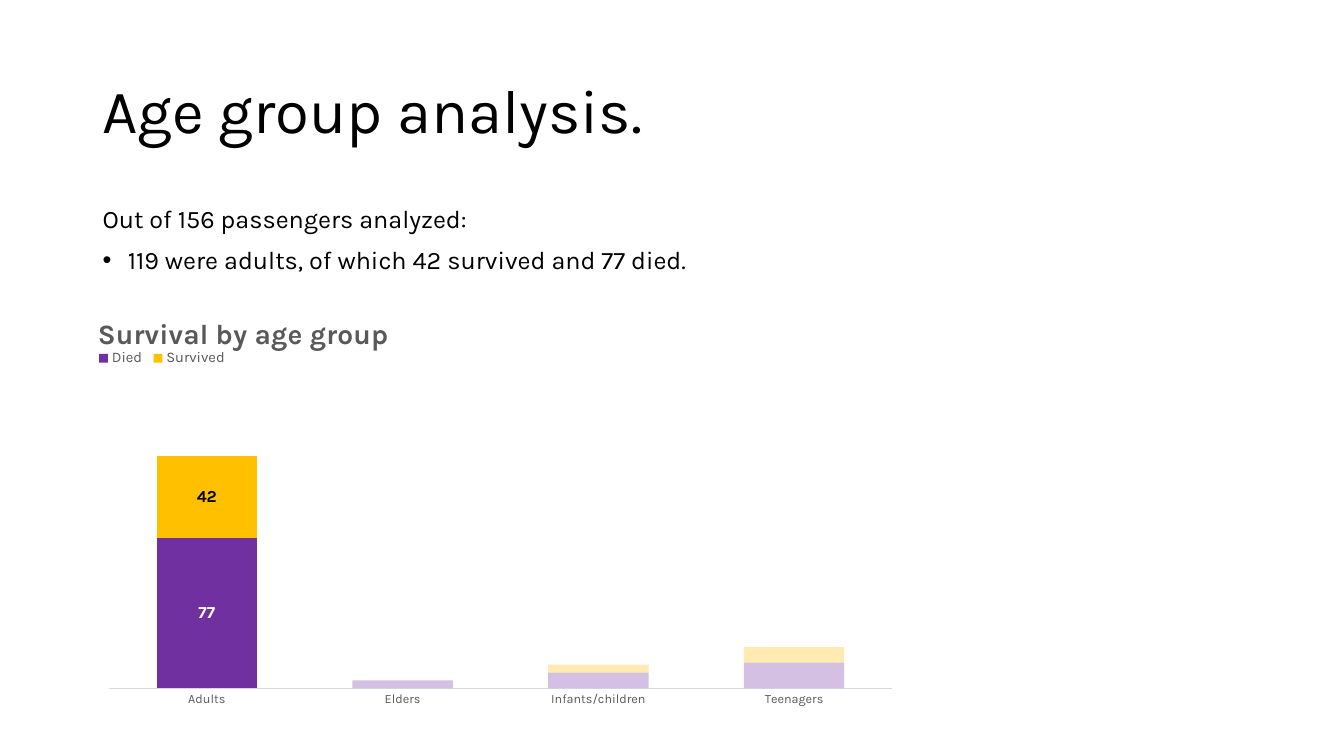
from dataclasses import dataclass

from lxml import etree
from pptx import Presentation
from pptx import util as u
from pptx.chart.data import CategoryChartData
from pptx.dml.color import RGBColor
from pptx.enum import chart as charts
from pptx.enum import text
from pptx.oxml import ns


@dataclass(frozen=True)
class Theme:
    font: str = "Karla"
    bullet_font: str = "Arial"
    ink: str = "000000"
    paper: str = "FFFFFF"
    muted: str = "595959"
    rule: str = "D9D9D9"
    died: str = "7030A0"
    survived: str = "FFC000"
    faded: int = 30
    title: float = 44
    body: float = 18
    chart_title: float = 20
    legend: float = 10.5
    value: float = 12
    category: float = 9
    default: float = 10


class SlideBuilder:
    COLUMNS, ROWS = 145, 300

    def __init__(self, deck, theme):
        self.theme = theme
        self.column = deck.slide_width / self.COLUMNS
        self.row = deck.slide_height / self.ROWS
        self.slide = deck.slides.add_slide(deck.slide_layouts[6])

    def box(self, left, top, width, height):
        return (round(left * self.column), round(top * self.row),
                round(width * self.column), round(height * self.row))

    def style(self, font, size, color, bold=False):
        font.name = self.theme.font
        font.size = u.Pt(size)
        font.bold = bold
        font.color.rgb = RGBColor.from_string(color)

    def text(self, area, lines, size, anchor=text.MSO_ANCHOR.TOP, before=0):
        frame = self.slide.shapes.add_textbox(*self.box(*area)).text_frame
        frame.word_wrap = True
        frame.vertical_anchor = anchor
        for index, (wording, bulleted) in enumerate(lines):
            paragraph = frame.paragraphs[0] if index == 0 else frame.add_paragraph()
            paragraph.text = wording
            paragraph.line_spacing = 0.9
            paragraph.space_before = u.Pt(before)
            self.style(paragraph.font, size, self.theme.ink)
            if bulleted:
                self.bullet(paragraph)

    def bullet(self, paragraph):
        properties = paragraph._p.get_or_add_pPr()
        indent = u.Inches(0.25)
        properties.set("marL", str(indent))
        properties.set("indent", str(-indent))
        defaults = properties.find(ns.qn("a:defRPr"))
        defaults.addprevious(etree.Element(ns.qn("a:buFont"), typeface=self.theme.bullet_font))
        defaults.addprevious(etree.Element(ns.qn("a:buChar"), char="•"))

    def place(self, part, index, **shares):
        for previous in part.findall(ns.qn("c:layout")):
            part.remove(previous)
        layout = etree.Element(ns.qn("c:layout"))
        manual = etree.SubElement(layout, ns.qn("c:manualLayout"))
        if part.tag == ns.qn("c:plotArea"):
            etree.SubElement(manual, ns.qn("c:layoutTarget"), val="inner")
        for mode in ("xMode", "yMode"):
            etree.SubElement(manual, ns.qn(f"c:{mode}"), val="edge")
        for side, share in shares.items():
            etree.SubElement(manual, ns.qn(f"c:{side}"), val=str(share))
        part.insert(index, layout)

    def paint(self, series, values, color, label_color):
        series.invert_if_negative = False
        series.format.fill.solid()
        series.format.fill.fore_color.rgb = RGBColor.from_string(color)
        labels = series.data_labels
        labels.show_value = True
        self.style(labels.font, self.theme.value, label_color, bold=True)
        muted = [i for i, value in enumerate(values) if i and value is not None]
        for index in muted:
            fill = series.points[index].format.fill
            fill.solid()
            fill.fore_color.rgb = RGBColor.from_string(color)
        for point in series._element.findall(ns.qn("c:dPt")):
            for shade in point.iter(ns.qn("a:srgbClr")):
                etree.SubElement(shade, ns.qn("a:alpha"), val=str(self.theme.faded * 1000))
        for index in reversed(muted):
            label = etree.Element(ns.qn("c:dLbl"))
            etree.SubElement(label, ns.qn("c:idx"), val=str(index))
            etree.SubElement(label, ns.qn("c:delete"), val="1")
            labels._element.insert(0, label)

    def stacked_columns(self, area, heading, categories, groups, top_value):
        theme = self.theme
        data = CategoryChartData()
        data.categories = categories
        for name, values, _, _ in groups:
            data.add_series(name, values)
        chart = self.slide.shapes.add_chart(
            charts.XL_CHART_TYPE.COLUMN_STACKED, *self.box(*area), data).chart
        self.style(chart.font, theme.default, theme.ink)

        chart.has_title = True
        title = chart.chart_title.text_frame
        title.text = heading
        self.style(title.paragraphs[0].font, theme.chart_title, theme.muted, bold=True)

        chart.has_legend = True
        chart.legend.position = charts.XL_LEGEND_POSITION.TOP
        chart.legend.include_in_layout = False
        self.style(chart.legend.font, theme.legend, theme.muted)

        axis = chart.category_axis
        axis.major_tick_mark = charts.XL_TICK_MARK.NONE
        axis.format.line.color.rgb = RGBColor.from_string(theme.rule)
        axis.format.line.width = u.Pt(0.75)
        self.style(axis.tick_labels.font, theme.category, theme.muted)
        chart.value_axis.visible = False
        chart.value_axis.has_major_gridlines = False
        chart.value_axis.minimum_scale = 0
        chart.value_axis.maximum_scale = top_value

        plot = chart.plots[0]
        plot.gap_width = 95
        plot.overlap = 100
        plot.vary_by_categories = False
        for series, (_, values, color, label_color) in zip(plot.series, groups):
            self.paint(series, values, color, label_color)

        self.place(chart.chart_title._element, 1, x=0, y=0)
        self.place(chart.legend._element, 1, x=0, y=0.09, w=0.17, h=0.06)
        plot_area = chart._chartSpace.chart.plotArea
        self.place(plot_area, 0, x=0.02, y=0.26, w=0.96, h=0.67)


def main():
    deck = Presentation()
    deck.slide_width, deck.slide_height = u.Inches(13.33), u.Inches(7.5)
    theme = Theme()
    page = SlideBuilder(deck, theme)
    page.text((10, 16, 125, 58), [("Age group analysis.", False)],
              theme.title, text.MSO_ANCHOR.MIDDLE)
    findings = [
        ("Out of 156 passengers analyzed:", False),
        ("119 were adults, of which 42 survived and 77 died.", True),
    ]
    page.text((10, 80, 125, 190), findings, theme.body, before=10)
    page.stacked_columns(
        (10, 122.8, 88, 161.6), "Survival by age group",
        ["Adults", "Elders", "Infants/children", "Teenagers"],
        [("Died", (77, 4, 8, 13), theme.died, theme.paper),
         ("Survived", (42, None, 4, 8), theme.survived, theme.ink)],
        top_value=140)
    deck.save("out.pptx")


if __name__ == "__main__":
    main()
